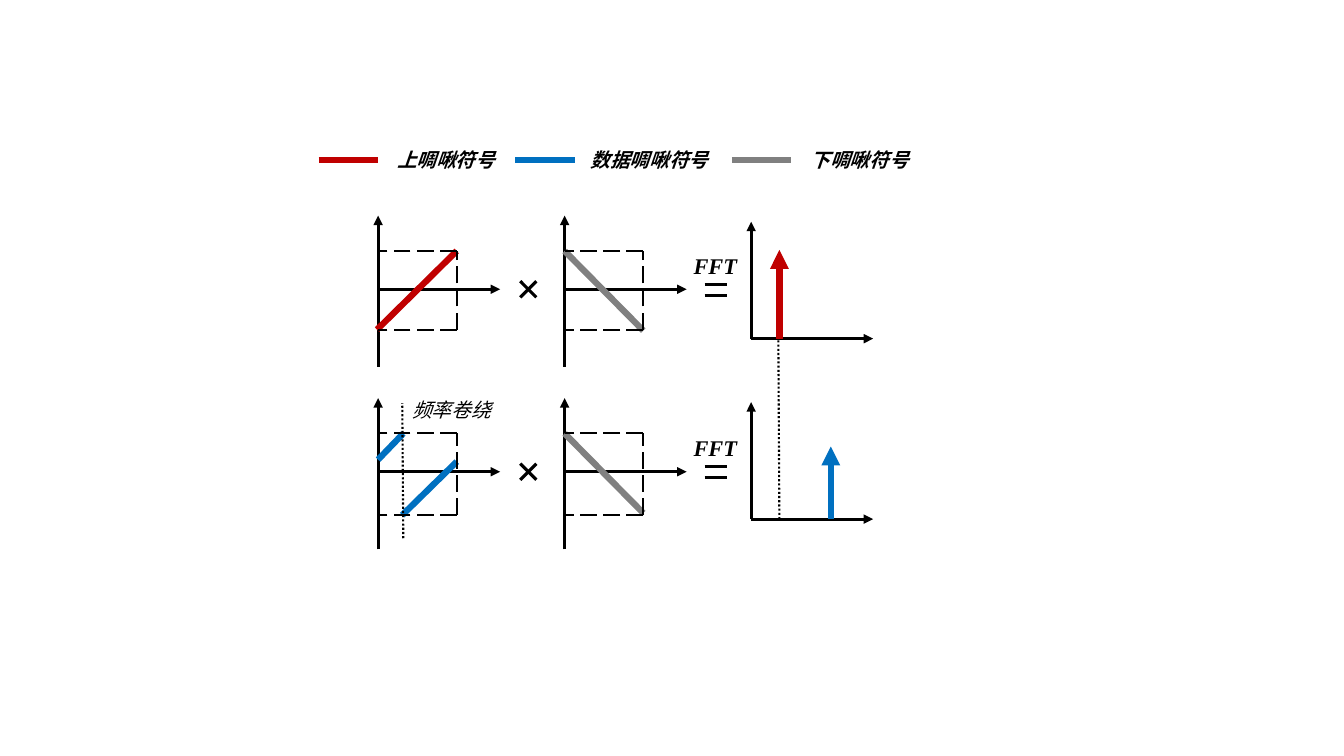
"""Build the slide that shows chirp demodulation by dechirping and FFT."""
from dataclasses import dataclass
from typing import NamedTuple, Optional

from lxml.etree import SubElement
from pptx import Presentation
from pptx.dml.color import RGBColor
from pptx.enum.dml import MSO_LINE
from pptx.enum.shapes import MSO_CONNECTOR
from pptx.enum.text import MSO_AUTO_SIZE
from pptx.oxml.ns import qn
from pptx.slide import Slide
from pptx.util import Inches, Pt


@dataclass(frozen=True)
class Theme:
    ink: str = "000000"
    up: str = "C00000"
    data: str = "0070C0"
    down: str = "808080"
    font: str = "Times New Roman"
    label: float = 14
    math: float = 16
    thin: float = 1.5
    axis: float = 2.25
    bold: float = 4.5


THEME = Theme()


class Point(NamedTuple):
    x: float
    y: float


class Pen(NamedTuple):
    color: str
    width: float
    dash: Optional[MSO_LINE] = None
    arrow: bool = False


class Label(NamedTuple):
    text: str
    left: float
    top: float
    width: float
    height: float = 0.34
    size: float = THEME.label
    bold: bool = True


class Key(NamedTuple):
    left: float
    color: str
    label: Label


class Chirp(NamedTuple):
    start: Point
    end: Point


class Row(NamedTuple):
    mid: float
    low: float
    base: float
    peak: Point
    color: str
    chirps: tuple[Chirp, ...]


AXIS = Pen(THEME.ink, THEME.axis, arrow=True)
SIGN = Pen(THEME.ink, THEME.axis)
DASH = Pen(THEME.ink, THEME.thin, MSO_LINE.LONG_DASH)
DOT = Pen(THEME.ink, THEME.thin, MSO_LINE.ROUND_DOT)

ROWS = (
    Row(2.87, 3.27, 3.36, Point(7.73, 2.48), THEME.up,
        (Chirp(Point(3.74, 3.27), Point(4.53, 2.49)),)),
    Row(4.68, 5.11, 5.15, Point(8.24, 4.43), THEME.data,
        (Chirp(Point(3.75, 4.56), Point(4, 4.3)),
         Chirp(Point(3.99, 5.11), Point(4.53, 4.58)))),
)
KEYS = (
    Key(3.16, THEME.up, Label("上啁啾符号", 3.84, 1.42, 1.49)),
    Key(5.11, THEME.data, Label("数据啁啾符号", 5.76, 1.42, 1.38)),
    Key(7.26, THEME.down, Label("下啁啾符号", 7.94, 1.42, 1.52)),
)
INPUT, DECHIRP, SPECTRUM = 3.75, 5.6, 7.45
REACH, SIDE, RISE = 1.21, 0.78, 0.38


def draw_line(slide: Slide, start: Point, end: Point, pen: Pen) -> None:
    """Draw a straight line with the given pen."""
    line = slide.shapes.add_connector(
        MSO_CONNECTOR.STRAIGHT, *(Inches(v) for v in (*start, *end)))
    line.line.color.rgb = RGBColor.from_string(pen.color)
    line.line.width = Pt(pen.width)
    if pen.dash:
        line.line.dash_style = pen.dash
    props = line._element.spPr
    if pen.arrow:
        SubElement(props.find(qn("a:ln")), qn("a:tailEnd"), type="triangle")
    SubElement(props, qn("a:effectLst"))


def draw_label(slide: Slide, label: Label) -> None:
    """Place one italic label."""
    box = slide.shapes.add_textbox(
        Inches(label.left), Inches(label.top),
        Inches(label.width), Inches(label.height))
    frame = box.text_frame
    frame.word_wrap = True
    frame.auto_size = MSO_AUTO_SIZE.SHAPE_TO_FIT_TEXT
    run = frame.paragraphs[0].add_run()
    run.text = label.text
    font = run.font
    font.name, font.size = THEME.font, Pt(label.size)
    font.bold, font.italic = label.bold, True
    font.color.rgb = RGBColor.from_string(THEME.ink)


def draw_axes(slide: Slide, left: float, row: Row) -> None:
    """Draw the time and frequency axes of one plot."""
    draw_line(slide, Point(left, row.mid), Point(left + REACH, row.mid), AXIS)
    draw_line(slide, Point(left, row.mid + 0.77), Point(left, row.mid - 0.73), AXIS)


def draw_frame(slide: Slide, left: float, row: Row) -> None:
    """Draw the dashed band limits of one plot."""
    right, top = left + SIDE, row.mid - RISE
    for y in (top, row.low):
        draw_line(slide, Point(right, y), Point(left, y), DASH)
    draw_line(slide, Point(right, row.low), Point(right, top), DASH)


def draw_signs(slide: Slide, row: Row) -> None:
    """Draw the times sign, the equals sign and the FFT label."""
    for lean in (-0.08, 0.08):
        draw_line(slide, Point(5.16, row.mid + lean),
                  Point(5.32, row.mid - lean), SIGN)
    for gap in (-0.05, 0.06):
        draw_line(slide, Point(6.99, row.mid + gap),
                  Point(7.21, row.mid + gap), SIGN)
    draw_label(slide, Label("FFT", 6.78, row.mid - 0.42, 0.72, 0.37, THEME.math))


def draw_peak(slide: Slide, row: Row) -> None:
    """Draw the spectrum axes with their peak."""
    base = row.base
    draw_line(slide, Point(SPECTRUM, base), Point(SPECTRUM + REACH, base), AXIS)
    draw_line(slide, Point(SPECTRUM, base), Point(SPECTRUM, base - 1.16), AXIS)
    draw_line(slide, Point(row.peak.x, base), row.peak,
              Pen(row.color, THEME.bold, arrow=True))


def draw_row(slide: Slide, row: Row) -> None:
    """Draw one row from chirp to spectrum."""
    for left in (INPUT, DECHIRP):
        draw_axes(slide, left, row)
    for chirp in row.chirps:
        draw_line(slide, chirp.start, chirp.end, Pen(row.color, THEME.bold))
    top = row.mid - RISE
    draw_line(slide, Point(DECHIRP, top), Point(DECHIRP + SIDE, top + 0.79),
              Pen(THEME.down, THEME.bold))
    for left in (INPUT, DECHIRP):
        draw_frame(slide, left, row)
    draw_signs(slide, row)
    draw_peak(slide, row)


def main() -> None:
    """Build and save the slide."""
    deck = Presentation()
    deck.slide_width, deck.slide_height = Inches(13.33), Inches(7.5)
    slide = deck.slides.add_slide(deck.slide_layouts[6])
    for row in ROWS:
        draw_row(slide, row)
    for key in KEYS:
        draw_line(slide, Point(key.left, 1.59), Point(key.left + 0.59, 1.59),
                  Pen(key.color, THEME.bold))
        draw_label(slide, key.label)
    draw_line(slide, Point(4, 5.34), Point(3.99, 4), DOT)
    draw_label(slide, Label("频率卷绕", 3.99, 3.9, 1.26, bold=False))
    draw_line(slide, Point(7.73, 5.15), Point(7.72, 3.36), DOT)
    deck.save("out.pptx")


if __name__ == "__main__":
    main()
